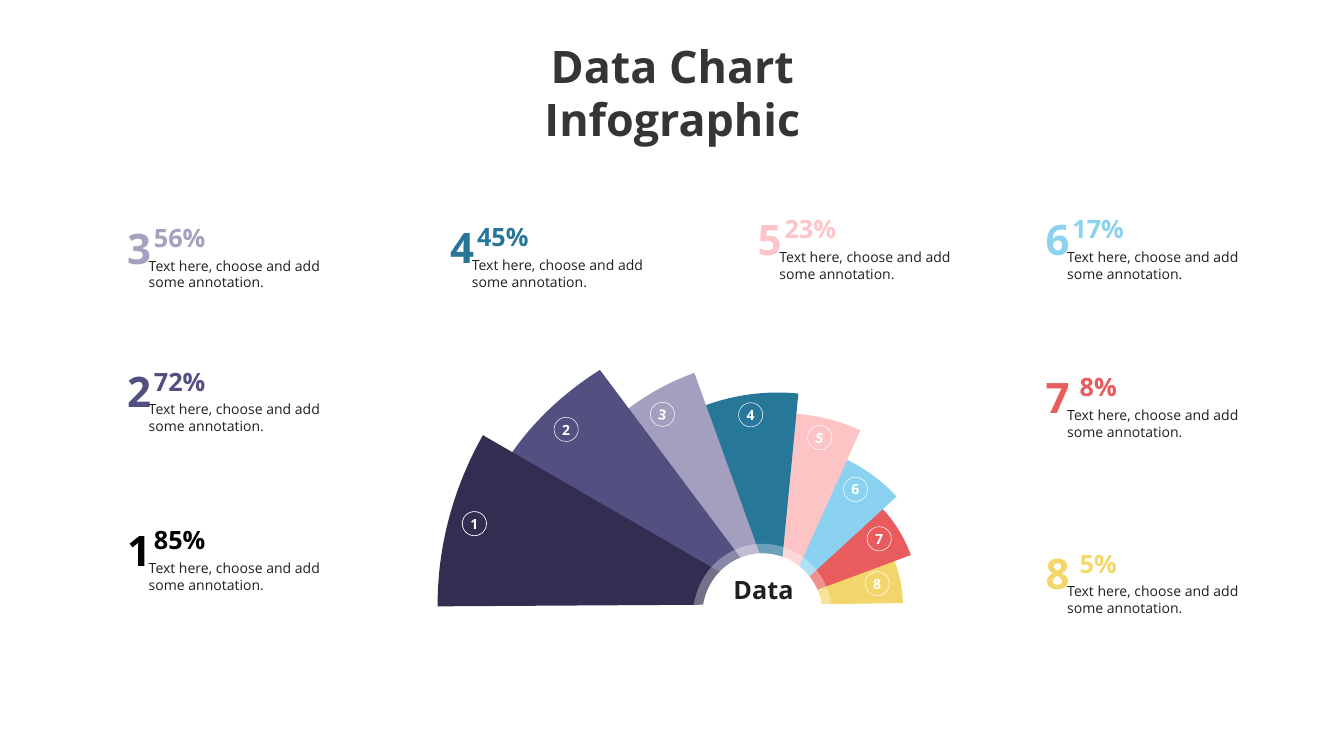
"""Build the fan-shaped data chart infographic slide."""
import math

import lxml.etree
import pptx
import pptx.dml.color
import pptx.enum.shapes
import pptx.enum.text
import pptx.oxml.ns
import pptx.util

PX = 9144
FONT = "Open Sans"
INK = "1F1F1F"
WHITE = "FFFFFF"
TITLE = "Data Chart Infographic"
CENTER_LABEL = "Data"
ANNOTATION = "Text here, choose and add some annotation."

# fill, rotation, hub, arc start, control, control, arc end
WEDGES = [
    ("F3D66B", 301.4, (1551, 1200), (1791, 1197), (1790, 1116), (1748, 1041), (1680, 998)),
    ("E85C5D", 251.5, (1546, 1198), (1807, 1101), (1790, 1055), (1761, 1014), (1722, 982)),
    ("8AD2F0", 199, (1542, 1202), (1779, 985), (1740, 943), (1691, 912), (1637, 895)),
    ("FDC4C6", 145.6, (1549, 1204), (1707, 854), (1645, 826), (1576, 815), (1509, 822)),
    ("277799", 96.5, (1543, 1199), (1584, 781), (1510, 774), (1435, 786), (1367, 818)),
    ("A49FBE", 40.7, (1543, 1199), (1377, 740), (1295, 770), (1223, 820), (1168, 886)),
    ("515081", 356, (1535, 1195), (1190, 734), (1099, 791), (1026, 868), (979, 958)),
    ("352D51", 300, (1539, 1199), (958, 864), (899, 967), (868, 1084), (868, 1203)),
]
BADGES = [
    ("1", 917, 1015, 0, 1), ("2", 1099, 828, 0, 0.75),
    ("3", 1290, 798, 8.3, 0.75), ("4", 1465, 799, 0, 0.75),
    ("5", 1602, 844, 12.3, 0.75), ("6", 1673, 947, 0, 0.75),
    ("7", 1720, 1045, 0, 0.75), ("8", 1716, 1134, 0, 0.75),
]
CALLOUTS = [
    ("1", "85%", "000000", 295, 1041), ("3", "56%", "A4A0BE", 295, 441),
    ("2", "72%", "515081", 295, 726), ("8", "5%", "F3D76B", 2117, 1087),
    ("4", "45%", "277699", 936, 440), ("5", "23%", "FEC4C7", 1546, 424),
    ("6", "17%", "8AD2F0", 2117, 424), ("7", "8%", "E95C5D", 2117, 737),
]
ALIGN = pptx.enum.text.PP_ALIGN
ANCHOR = pptx.enum.text.MSO_ANCHOR
OVAL = pptx.enum.shapes.MSO_SHAPE.OVAL
qn = pptx.oxml.ns.qn


def rgb(value):
    """Return a colour from a hex string."""
    return pptx.dml.color.RGBColor.from_string(value)


def box(*lengths):
    """Turn px lengths into EMU."""
    return [n * PX for n in lengths]


def write(sp, text, size, color, bold=True, align=ALIGN.CENTER, anchor=ANCHOR.TOP, inset=(0, 0)):
    """Put one formatted run into a shape."""
    tf = sp.text_frame
    tf.word_wrap = True
    tf.auto_size = pptx.enum.text.MSO_AUTO_SIZE.NONE
    tf.vertical_anchor = anchor
    tf.margin_left = tf.margin_right = inset[0] * PX
    tf.margin_top = tf.margin_bottom = inset[1] * PX
    p = tf.paragraphs[0]
    p.alignment = align
    p.line_spacing = 1.0
    r = p.add_run()
    r.text = text
    r.font.name = FONT
    r.font.size = pptx.util.Pt(size)
    r.font.bold = bold
    r.font.color.rgb = rgb(color)


def paint(sp, color):
    """Give a shape a plain fill without line or shadow."""
    sp.shadow.inherit = False
    sp.fill.solid()
    sp.fill.fore_color.rgb = rgb(color)
    sp.line.fill.background()


def turn(point, pivot, degrees):
    """Rotate a point clockwise about a pivot."""
    a = math.radians(degrees)
    dx, dy = point[0] - pivot[0], point[1] - pivot[1]
    return (pivot[0] + dx * math.cos(a) - dy * math.sin(a),
            pivot[1] + dx * math.sin(a) + dy * math.cos(a))


def add_wedge(s, color, rotation, hub, *arc):
    """Draw one rotated fan blade whose outer edge is a cubic curve."""
    builder = s.shapes.build_freeform(*hub, scale=PX)
    builder.add_line_segments([turn(pt, hub, -rotation) for pt in arc], close=True)
    sp = builder.convert_to_shape()
    edges = list(sp._element.iter(qn("a:lnTo")))[1:4]
    curve = lxml.etree.Element(qn("a:cubicBezTo"))
    edges[0].addprevious(curve)
    for edge in edges:
        curve.append(edge[0])
        edge.getparent().remove(edge)
    middle = (sp.left + sp.width / 2, sp.top + sp.height / 2)
    x, y = turn(middle, box(*hub), rotation)
    sp.left, sp.top = round(x - sp.width / 2), round(y - sp.height / 2)
    sp.rotation = rotation
    paint(sp, color)


def add_disc(s, color, bounds, opacity=100):
    """Draw a filled disc of the hub."""
    sp = s.shapes.add_shape(OVAL, *box(*bounds))
    paint(sp, color)
    if opacity < 100:
        clr = sp._element.spPr.find(qn("a:solidFill"))[0]
        lxml.etree.SubElement(clr, qn("a:alpha")).set("val", str(opacity * 1000))


def add_badge(s, number, left, top, rotation, line_width):
    """Draw a numbered ring on a blade."""
    sp = s.shapes.add_shape(OVAL, *box(left, top, 48, 48))
    sp.shadow.inherit = False
    sp.fill.background()
    sp.line.color.rgb = rgb(WHITE)
    sp.line.width = pptx.util.Pt(line_width)
    sp.rotation = rotation
    write(sp, number, 20, WHITE, anchor=ANCHOR.MIDDLE)


def add_callout(s, number, percent, color, left, top):
    """Draw a grouped number, percentage and annotation."""
    shapes = s.shapes.add_group_shape().shapes
    write(shapes.add_textbox(*box(left, top, 123, 61)), percent, 36, color)
    write(shapes.add_textbox(*box(left - 43, top, 14, 101)), number, 60, color)
    write(shapes.add_textbox(*box(left, top + 69, 411, 67)), ANNOTATION, 20, INK,
          bold=False, align=ALIGN.LEFT)


def main():
    """Build and save the slide."""
    prs = pptx.Presentation()
    prs.slide_width, prs.slide_height = box(2666, 1500)
    s = prs.slides.add_slide(prs.slide_layouts[5])
    title = s.shapes.title
    title.left, title.top, title.width, title.height = box(829, 116, 1009, 133)
    write(title, TITLE, 64, "353535", anchor=ANCHOR.MIDDLE, inset=(20, 12))
    for wedge in WEDGES:
        add_wedge(s, *wedge)
    add_disc(s, WHITE, (1375, 1079, 276, 284), opacity=32)
    add_disc(s, "FEFFFE", (1393, 1098, 239, 246))
    write(s.shapes.add_textbox(*box(1357, 1139, 315, 61)), CENTER_LABEL, 36, INK)
    for badge in BADGES:
        add_badge(s, *badge)
    for callout in CALLOUTS:
        add_callout(s, *callout)
    prs.save("out.pptx")


if __name__ == "__main__":
    main()
